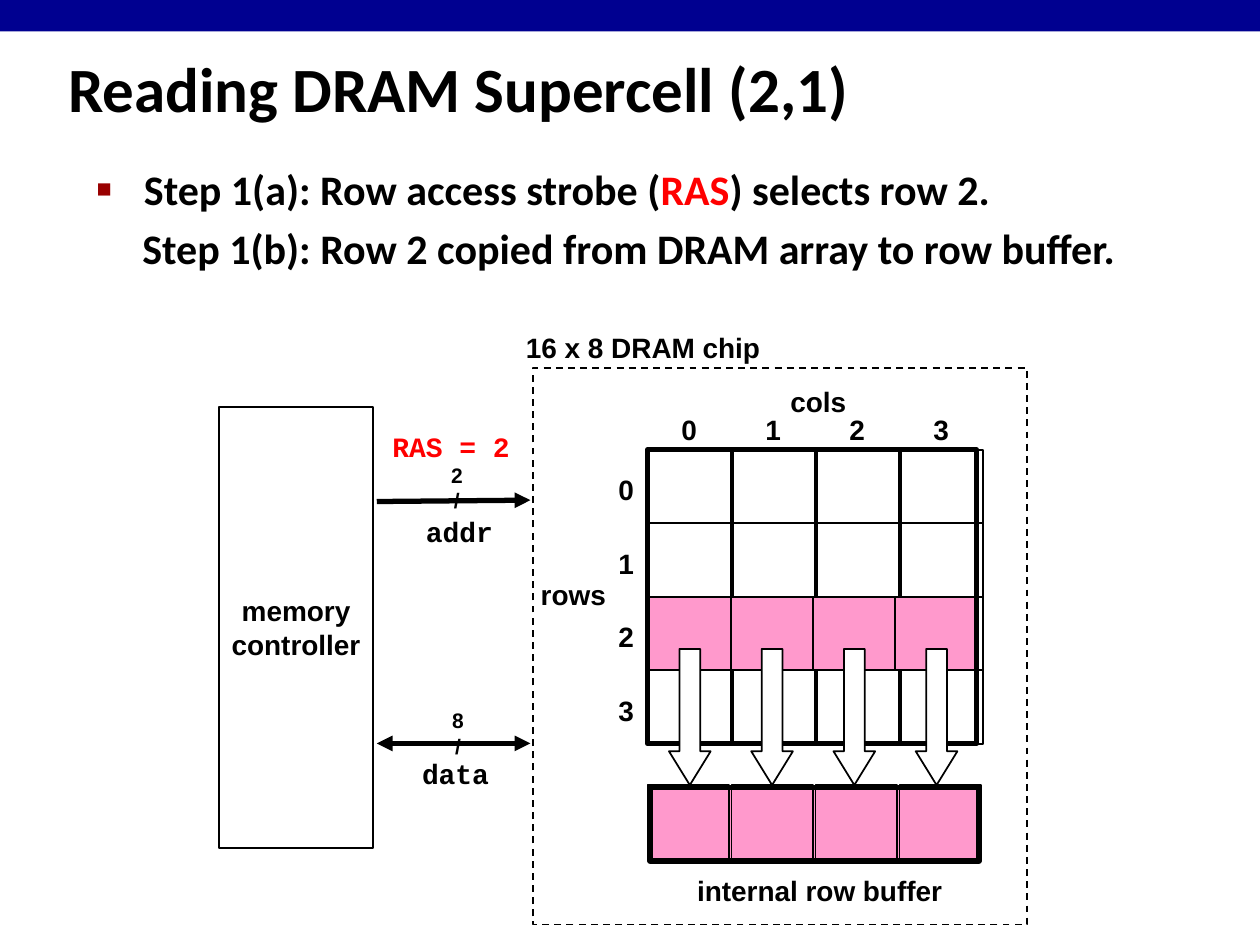
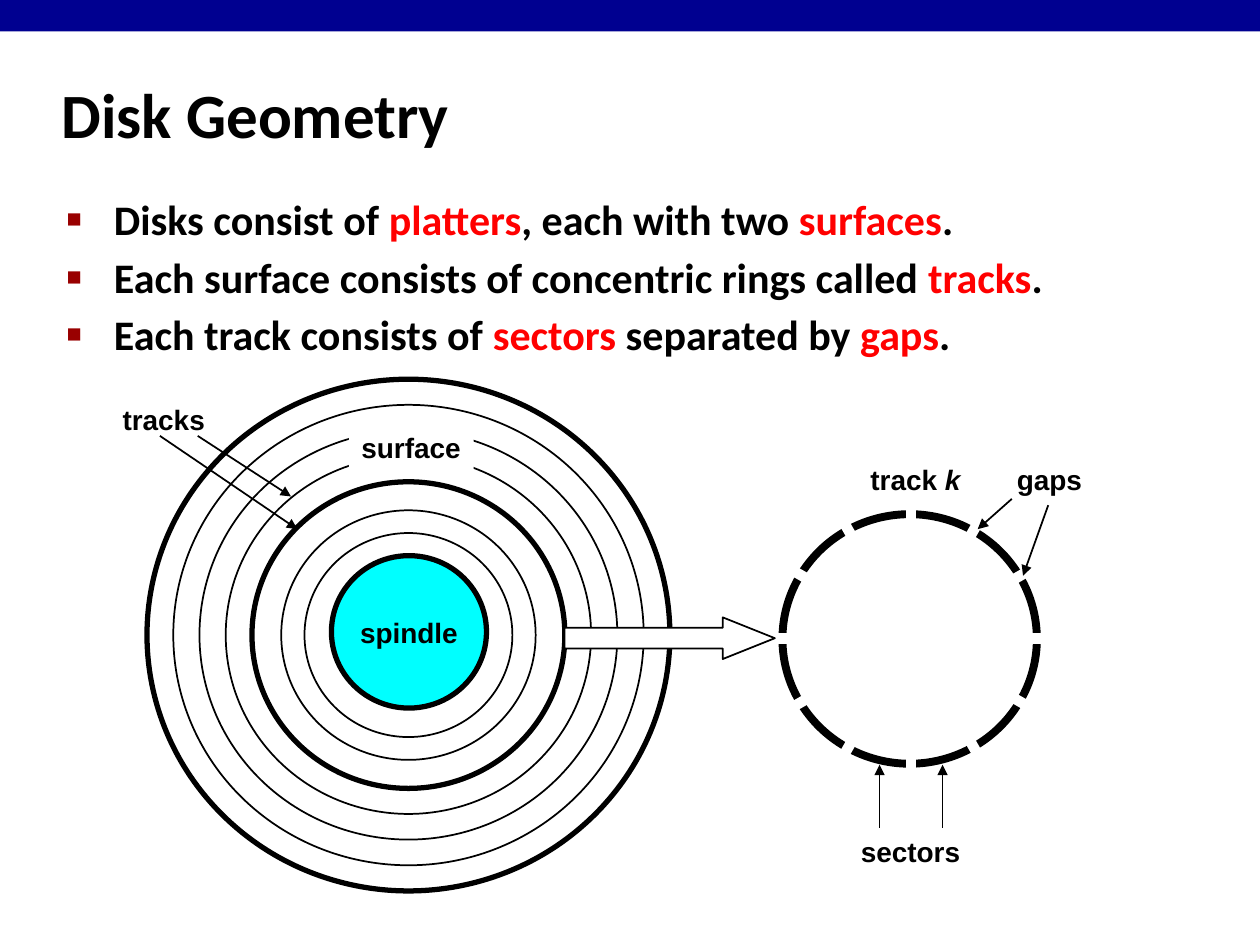
"""Build two slides: reading a DRAM supercell, and disk geometry."""
from math import cos, radians, sin

from lxml import etree
from pptx import Presentation
from pptx.dml.color import RGBColor
from pptx.enum.dml import MSO_LINE
from pptx.enum.shapes import MSO_CONNECTOR, MSO_SHAPE
from pptx.enum.text import MSO_ANCHOR, PP_ALIGN
from pptx.oxml import parse_xml
from pptx.oxml.ns import nsdecls, qn
from pptx.util import Pt

RECTANGLE = MSO_SHAPE.RECTANGLE
OVAL = MSO_SHAPE.OVAL
DOWN_ARROW = MSO_SHAPE.DOWN_ARROW
RIGHT_ARROW = MSO_SHAPE.RIGHT_ARROW
STRAIGHT = MSO_CONNECTOR.STRAIGHT
DASH = MSO_LINE.DASH
TOP, MIDDLE = MSO_ANCHOR.TOP, MSO_ANCHOR.MIDDLE
LEFT, CENTER = PP_ALIGN.LEFT, PP_ALIGN.CENTER

BLACK = RGBColor(0x00, 0x00, 0x00)
WHITE = RGBColor(0xFF, 0xFF, 0xFF)
RED = RGBColor(0xFF, 0x00, 0x00)
NAVY = RGBColor(0x00, 0x00, 0x90)
PINK = RGBColor(0xFF, 0x99, 0xCC)
CYAN = RGBColor(0x00, 0xFF, 0xFF)

BULLET = (
    f'<a:buClr {nsdecls("a")}><a:srgbClr val="990000"/></a:buClr>',
    f'<a:buSzPct {nsdecls("a")} val="60000"/>',
    f'<a:buFont {nsdecls("a")} typeface="Arial"/>',
    f'<a:buChar {nsdecls("a")} char="■"/>',
)
LABEL_HEIGHT = 26.6


def add_box(slide, kind, left, top, width, height, text="", fill=None, line=0,
            font="Arial", size=16, align=CENTER):
    """Add a shape, or a text box if kind is None; words between asterisks are red."""
    frame = [Pt(value) for value in (left, top, width, height)]
    if kind is None:
        shape = slide.shapes.add_textbox(*frame)
    else:
        shape = slide.shapes.add_shape(kind, *frame)
        shape.shadow.inherit = False
        if fill is None:
            shape.fill.background()
        else:
            shape.fill.solid()
            shape.fill.fore_color.rgb = fill
        if line:
            shape.line.color.rgb = BLACK
            shape.line.width = Pt(line)
        else:
            shape.line.fill.background()
    if text:
        text_frame = shape.text_frame
        text_frame.word_wrap = False
        text_frame.vertical_anchor = MIDDLE
        for index, content in enumerate(text.split("\n")):
            paragraph = text_frame.add_paragraph() if index else text_frame.paragraphs[0]
            paragraph.alignment = align
            for position, piece in enumerate(content.split("*")):
                if piece:
                    run = paragraph.add_run()
                    run.text = piece
                    run.font.name = font
                    run.font.size = Pt(size)
                    run.font.bold = True
                    run.font.color.rgb = RED if position % 2 else BLACK
    return shape


def add_line(slide, start, end, color=BLACK, width=1, ends=("tailEnd",)):
    """Add a straight line with triangles at the named ends."""
    connector = slide.shapes.add_connector(STRAIGHT, *[Pt(value) for value in (*start, *end)])
    connector.line.color.rgb = color
    connector.line.width = Pt(width)
    for name in ends:
        etree.SubElement(connector.get_or_add_ln(), qn(f"a:{name}"), type="triangle")
    etree.SubElement(connector.element.spPr, qn("a:effectLst"))


presentation = Presentation()
presentation.slide_width = Pt(720)
presentation.slide_height = Pt(540)
title_only = presentation.slide_layouts[5]

slide_texts = [
    ("Reading DRAM Supercell (2,1)", (31.7, 19.4, 661, 61.2),
     "Step 1(a): Row access strobe (*RAS*) selects row 2.", (48.2, 90, 628.6, 41.8)),
    ("Disk Geometry", (28, 34.6, 597.6, 59.8),
     "Disks consist of *platters*, each with two *surfaces*.\n"
     "Each surface consists of concentric rings called *tracks*.\n"
     "Each track consists of *sectors* separated by *gaps*.", (31, 107.3, 622, 391.7)),
]
for title_text, title_frame, body_text, body_frame in slide_texts:
    slide = presentation.slides.add_slide(title_only)
    title = slide.shapes.title
    title.left, title.top, title.width, title.height = [Pt(value) for value in title_frame]
    title.text_frame.vertical_anchor = MIDDLE
    paragraph = title.text_frame.paragraphs[0]
    paragraph.alignment = LEFT
    run = paragraph.add_run()
    run.text = title_text
    run.font.name = "Calibri"
    run.font.size = Pt(36)
    run.font.bold = True
    run.font.color.rgb = BLACK

    body = add_box(slide, None, *body_frame, body_text, font="Calibri", size=24, align=LEFT)
    body.text_frame.word_wrap = True
    body.text_frame.vertical_anchor = TOP
    for index, paragraph in enumerate(body.text_frame.paragraphs):
        if index:
            paragraph.space_before = Pt(4)
        properties = paragraph._p.get_or_add_pPr()
        properties.set("marL", str(Pt(27)))
        properties.set("indent", str(Pt(-27)))
        for bullet_part in BULLET:
            properties.append(parse_xml(bullet_part))

dram_slide, disk_slide = presentation.slides

band = add_box(dram_slide, RECTANGLE, 0, 0, 720, 18, fill=NAVY)
presentation.slide_master.shapes.element.append(band.element)

step = add_box(dram_slide, None, 74.2, 126, 579.6, 41.8,
               "Step 1(b): Row 2 copied from DRAM array to row buffer.",
               font="Calibri", size=24, align=LEFT)
step.text_frame.vertical_anchor = TOP
step.text_frame.paragraphs[0].line_spacing = 0.95

add_box(dram_slide, RECTANGLE, 371.5, 450, 188, 42, fill=PINK, line=3)
for row in range(4):
    for column in range(4):
        if (row, column) != (2, 0):
            add_box(dram_slide, RECTANGLE, 370.8 + 48 * column, 257 + 42 * row, 46.8, 42,
                    fill=WHITE, line=1)
for index in range(4):
    add_box(dram_slide, None, 382.3 + 48 * index, 232.2, 23, LABEL_HEIGHT, str(index))
    add_box(dram_slide, None, 346.3, 266.4 + 42 * index, 23, LABEL_HEIGHT, str(index))
    add_box(dram_slide, RECTANGLE, 370 + 48 * index, 448.6, 46.8, 42, line=1)
    add_box(dram_slide, RECTANGLE, 370.8 + 46.9 * index, 341, 46.9, 42, fill=PINK, line=1)
add_box(dram_slide, RECTANGLE, 370, 257, 188, 168, line=3)
for column in range(4):
    copy_arrow = add_box(dram_slide, DOWN_ARROW, 382.3 + 47 * column, 370.8, 23.8, 77.8,
                         fill=WHITE, line=1)
    copy_arrow.adjustments[1] = 0.81

chip = add_box(dram_slide, RECTANGLE, 304.6, 210.2, 282.2, 318.2, line=1)
chip.line.dash_style = DASH
add_box(dram_slide, RECTANGLE, 125.3, 232.6, 87.8, 252, "memory\ncontroller",
        fill=WHITE, line=1)

add_line(dram_slide, (215.3, 286.6), (303.1, 285.8), width=3)
add_line(dram_slide, (215.3, 424.8), (303.1, 424.8), width=3, ends=("headEnd", "tailEnd"))
for left, top, bits in [(250.6, 260.6, 2), (251.3, 401, 8)]:
    add_box(dram_slide, None, left, top, 20.9, 36, f"{bits}\n/", size=12)

dram_labels = [
    ("cols", 444.2, 216, 46.8, "Arial"),
    ("rows", 301.7, 326.2, 51.8, "Arial"),
    ("internal row buffer", 391, 495.4, 154.8, "Arial"),
    ("16 x 8 DRAM chip", 293, 185, 149, "Arial"),
    ("*RAS = 2*", 216.7, 242, 82, "Courier New"),
    ("addr", 236.2, 290.2, 52.6, "Courier New"),
    ("data", 234, 428.4, 52.6, "Courier New"),
]
for text, left, top, width, font in dram_labels:
    add_box(dram_slide, None, left, top, width, LABEL_HEIGHT, text, font=font)

disk_x, disk_y = 233.4, 362.9
rings = [(298.8 - 30 * index, 292.4 - 29.3 * index, 3 if index in (0, 4) else 1)
         for index in range(5)]
rings += [(145.4, 142.6, 1), (118.8, 116.6, 1)]
for width, height, line in rings:
    add_box(disk_slide, OVAL, disk_x - width / 2, disk_y - height / 2, width, height, line=line)
add_box(disk_slide, OVAL, 189.4, 317.5, 88.6, 87.1, "spindle", fill=CYAN, line=3)
add_box(disk_slide, RECTANGLE, 199.4, 242.6, 71.3, LABEL_HEIGHT, "surface",
        fill=WHITE, align=LEFT)

track_x, track_y, spoke = 520.6, 365, 83
add_box(disk_slide, OVAL, 447.1, 293.8, 145.4, 142.6, line=4.5)
for angle in range(0, 360, 30):
    tip = (track_x + spoke * cos(radians(angle)), track_y + spoke * sin(radians(angle)))
    add_line(disk_slide, (track_x, track_y), tip, color=WHITE, width=6, ends=())
track_arrow = add_box(disk_slide, RIGHT_ARROW, 322.6, 352.8, 120.2, 23.8, fill=WHITE, line=1)
track_arrow.adjustments[1] = 1.25

pointers = [
    ((91.4, 249.1), (169.9, 302.4)),
    ((113, 249.1), (166.3, 283.7)),
    ((502.6, 473), (502.6, 437)),
    ((538.6, 473), (538.6, 437)),
    ((578.2, 285.1), (558.7, 302.4)),
    ((599, 288.7), (584.6, 329)),
]
for start, end in pointers:
    add_line(disk_slide, start, end)

for text, left, top, width in [("tracks", 62.6, 226.1, 61.9), ("sectors", 484.6, 473, 71.3),
                               ("gaps", 573.8, 260.6, 51.8)]:
    add_box(disk_slide, None, left, top, width, LABEL_HEIGHT, text)
track_label = add_box(disk_slide, None, 490.3, 260.6, 66.2, LABEL_HEIGHT, "track *k*", align=LEFT)
track_name = track_label.text_frame.paragraphs[0].runs[1]
track_name.font.italic = True
track_name.font.color.rgb = BLACK

presentation.save("out.pptx")
